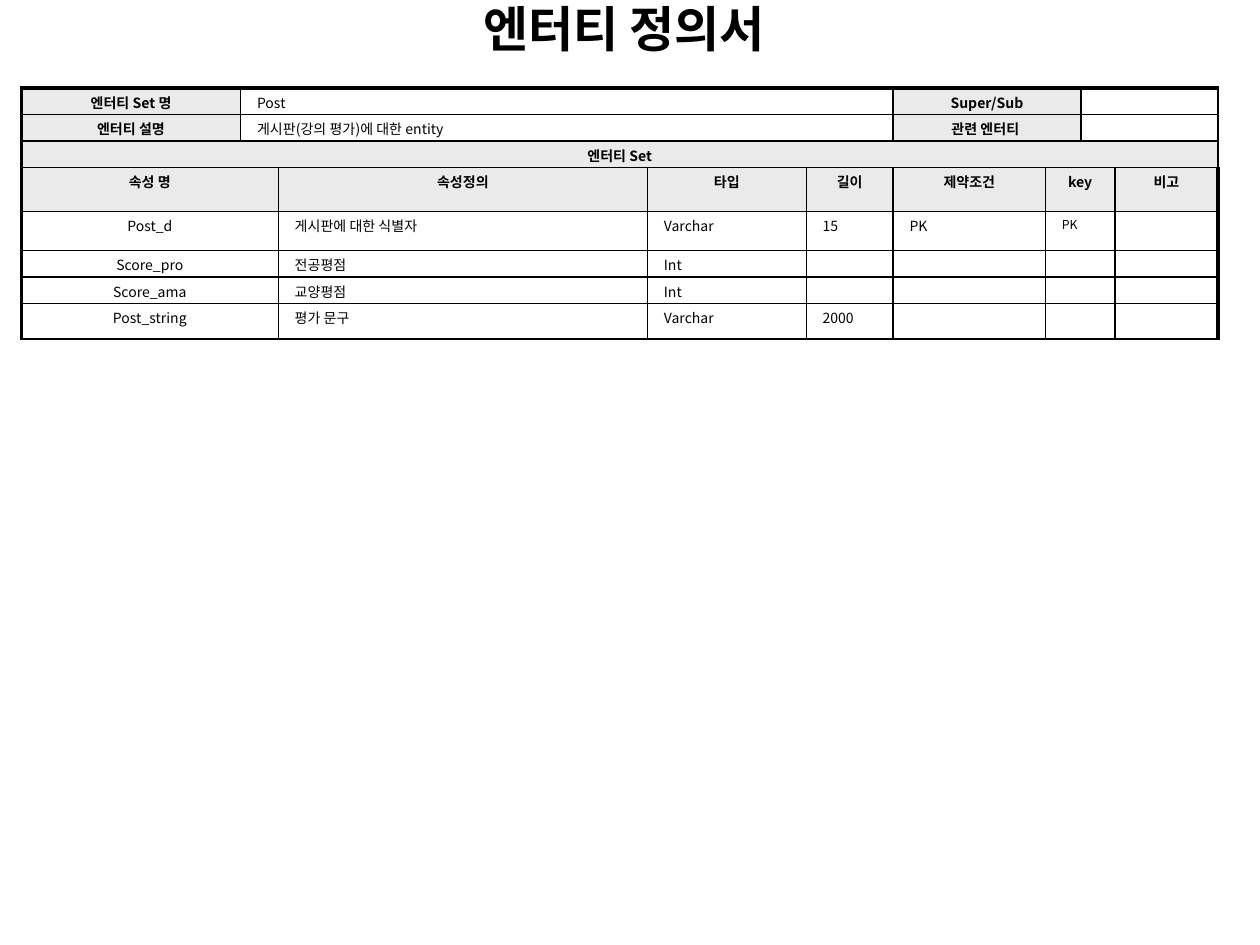
"""Build the entity definition slide with its attribute table."""
import pptx
import pptx.dml.color
import pptx.enum.text
import pptx.oxml.ns
import pptx.util
from lxml import etree

Inches, Pt = pptx.util.Inches, pptx.util.Pt
ALIGN = pptx.enum.text.PP_ALIGN
ANCHOR = pptx.enum.text.MSO_ANCHOR

COLORS = {"ink": "000000", "header": "EAEAEA"}
TITLE_FONT, TABLE_FONT = "Arial", "Noto Sans CJK KR"
TITLE = "엔터티 정의서 "

COLUMN_WIDTHS = [1.74, 0.27, 2.93, 1.26, 0.69, 1.21, 0.28, 0.27, 0.82]
ROW_HEIGHTS = [0.21, 0.21, 0.21, 0.35, 0.31, 0.21, 0.21, 0.28]
INFO_SPANS = [1, 4, 2, 2]
ATTRIBUTE_SPANS = [2, 1, 1, 1, 1, 2, 1]
INFO_KINDS = ["header", "value", "header", "value"]
HEADER_KINDS = ["header"] * 7
ATTRIBUTE_KINDS = ["name"] + ["value"] * 4 + ["key", "value"]

ROWS = [
    (INFO_SPANS, INFO_KINDS, ["엔터티 Set 명", "Post", "Super/Sub", ""]),
    (INFO_SPANS, INFO_KINDS, ["엔터티 설명", "게시판(강의 평가)에 대한 entity", "관련 엔터티 ", ""]),
    ([9], ["header"], ["엔터티 Set"]),
    (ATTRIBUTE_SPANS, HEADER_KINDS, ["속성 명", "속성정의", "타입", "길이", "제약조건", "key", "비고"]),
    (ATTRIBUTE_SPANS, ATTRIBUTE_KINDS, ["Post_d", "게시판에 대한 식별자", "Varchar", "15", "PK", "PK", ""]),
    (ATTRIBUTE_SPANS, ATTRIBUTE_KINDS, ["Score_pro", "전공평점", "Int", "", "", "", ""]),
    (ATTRIBUTE_SPANS, ATTRIBUTE_KINDS, ["Score_ama", "교양평점", "Int", "", "", "", ""]),
    (ATTRIBUTE_SPANS, ATTRIBUTE_KINDS, ["Post_string", "평가 문구", "Varchar", "2000", "", "", ""]),
]
KINDS = {
    "header": (ALIGN.CENTER, 8, True),
    "name": (ALIGN.CENTER, 8, False),
    "value": (ALIGN.LEFT, 8, False),
    "key": (ALIGN.LEFT, 7, False),
}
CELL_FORMAT = {
    "margin_left": Inches(0.13), "margin_right": Inches(0.13),
    "margin_top": Inches(0.03), "margin_bottom": Inches(0.03),
    "vertical_anchor": ANCHOR.TOP,
}
TITLE_FORMAT = {
    "margin_top": 0, "margin_bottom": 0, "word_wrap": True,
    "vertical_anchor": ANCHOR.MIDDLE,
}


def apply_format(target, values):
    for name, value in values.items():
        setattr(target, name, value)


def add_child(parent, tag, **attributes):
    return etree.SubElement(parent, pptx.oxml.ns.qn(tag), attributes)


def write_text(paragraph, text, font_name, alignment, size, bold):
    paragraph.alignment = alignment
    if not text:
        add_child(paragraph._p, "a:endParaRPr", sz=str(size * 100))
        return
    run = paragraph.add_run()
    run.text = text
    apply_format(run.font, {"name": font_name, "size": Pt(size), "bold": bold})
    run.font.color.rgb = pptx.dml.color.RGBColor.from_string(COLORS["ink"])
    add_child(run.font._element, "a:ea", typeface=TABLE_FONT)


def draw_borders(cell, row, column):
    outer = {
        "L": column == 0,
        "R": column == len(COLUMN_WIDTHS) - 1,
        "T": row == 0,
        "B": False,
    }
    properties = cell._tc.get_or_add_tcPr()
    for side, is_outer in outer.items():
        line = add_child(properties, f"a:ln{side}", w=str(Pt(2.25 if is_outer else 1)))
        add_child(add_child(line, "a:solidFill"), "a:srgbClr", val=COLORS["ink"])


def fill_cell(cell, kind, text):
    apply_format(cell, CELL_FORMAT)
    if kind == "header":
        cell.fill.solid()
        cell.fill.fore_color.rgb = pptx.dml.color.RGBColor.from_string(COLORS["header"])
    else:
        cell.fill.background()
    paragraph = cell.text_frame.paragraphs[0]
    paragraph.space_before = Pt(1.6)
    write_text(paragraph, text, TABLE_FONT, *KINDS[kind])


def add_title(slide):
    box = slide.shapes.add_textbox(0, Inches(0.01), Inches(10), Inches(0.42))
    apply_format(box.text_frame, TITLE_FORMAT)
    write_text(box.text_frame.paragraphs[0], TITLE, TITLE_FONT, ALIGN.CENTER, 28, True)


def add_entity_table(slide):
    frame = slide.shapes.add_table(
        len(ROW_HEIGHTS), len(COLUMN_WIDTHS), Inches(0.17), Inches(0.7),
        Inches(sum(COLUMN_WIDTHS)), Inches(sum(ROW_HEIGHTS)))
    table = frame.table
    apply_format(table, {"first_row": False, "horz_banding": False})
    for column, width in zip(table.columns, COLUMN_WIDTHS):
        column.width = Inches(width)
    for row, height in zip(table.rows, ROW_HEIGHTS):
        row.height = Inches(height)
    for row, (spans, kinds, texts) in enumerate(ROWS):
        for column in range(len(COLUMN_WIDTHS)):
            draw_borders(table.cell(row, column), row, column)
        start = 0
        for span, kind, text in zip(spans, kinds, texts):
            for column in range(start, start + span):
                fill_cell(table.cell(row, column), kind, text if column == start else "")
            if span > 1:
                table.cell(row, start).merge(table.cell(row, start + span - 1))
            start += span


presentation = pptx.Presentation()
apply_format(presentation, {"slide_width": Inches(10), "slide_height": Inches(7.5)})
slide = presentation.slides.add_slide(presentation.slide_layouts[6])
add_title(slide)
add_entity_table(slide)
presentation.save("out.pptx")
